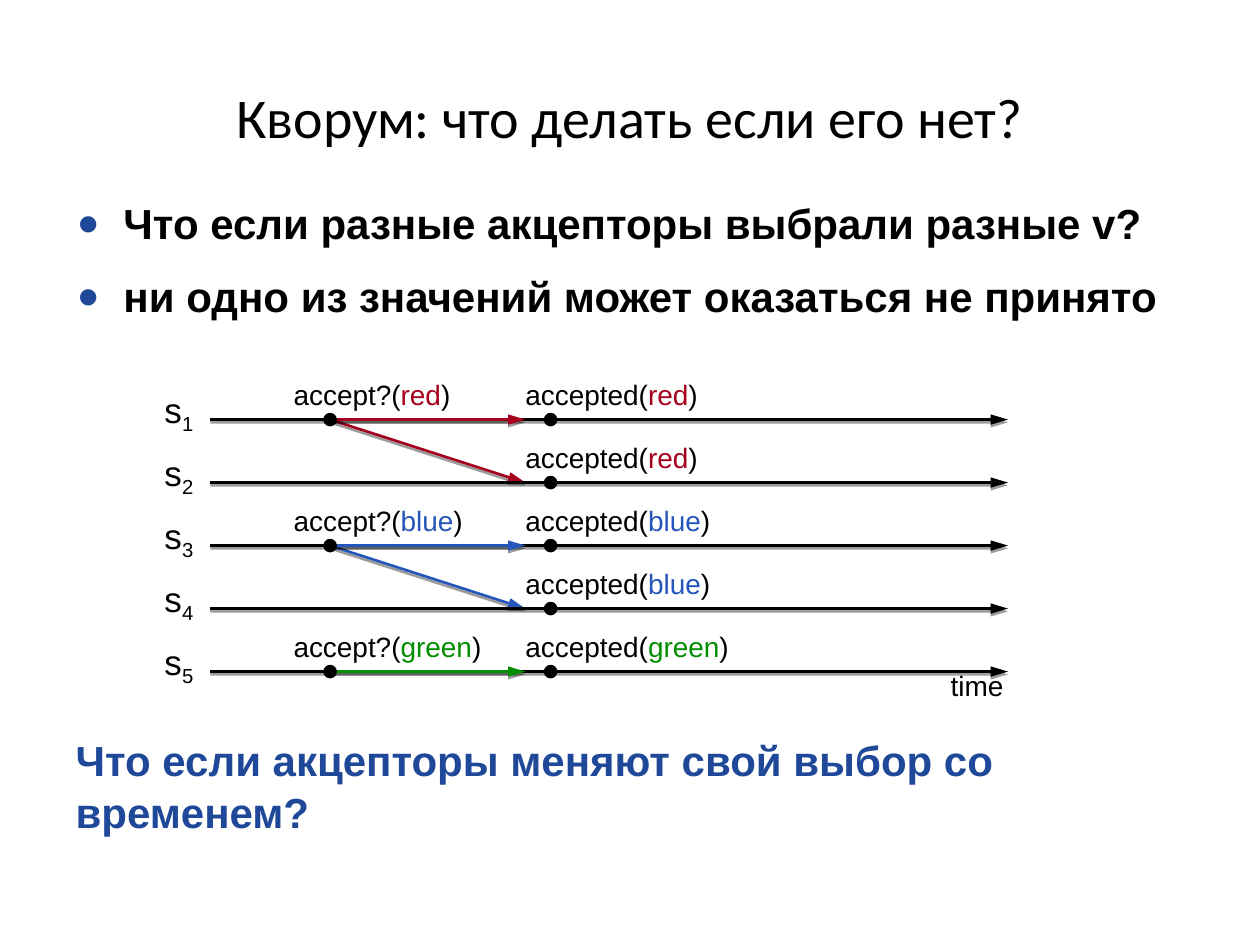
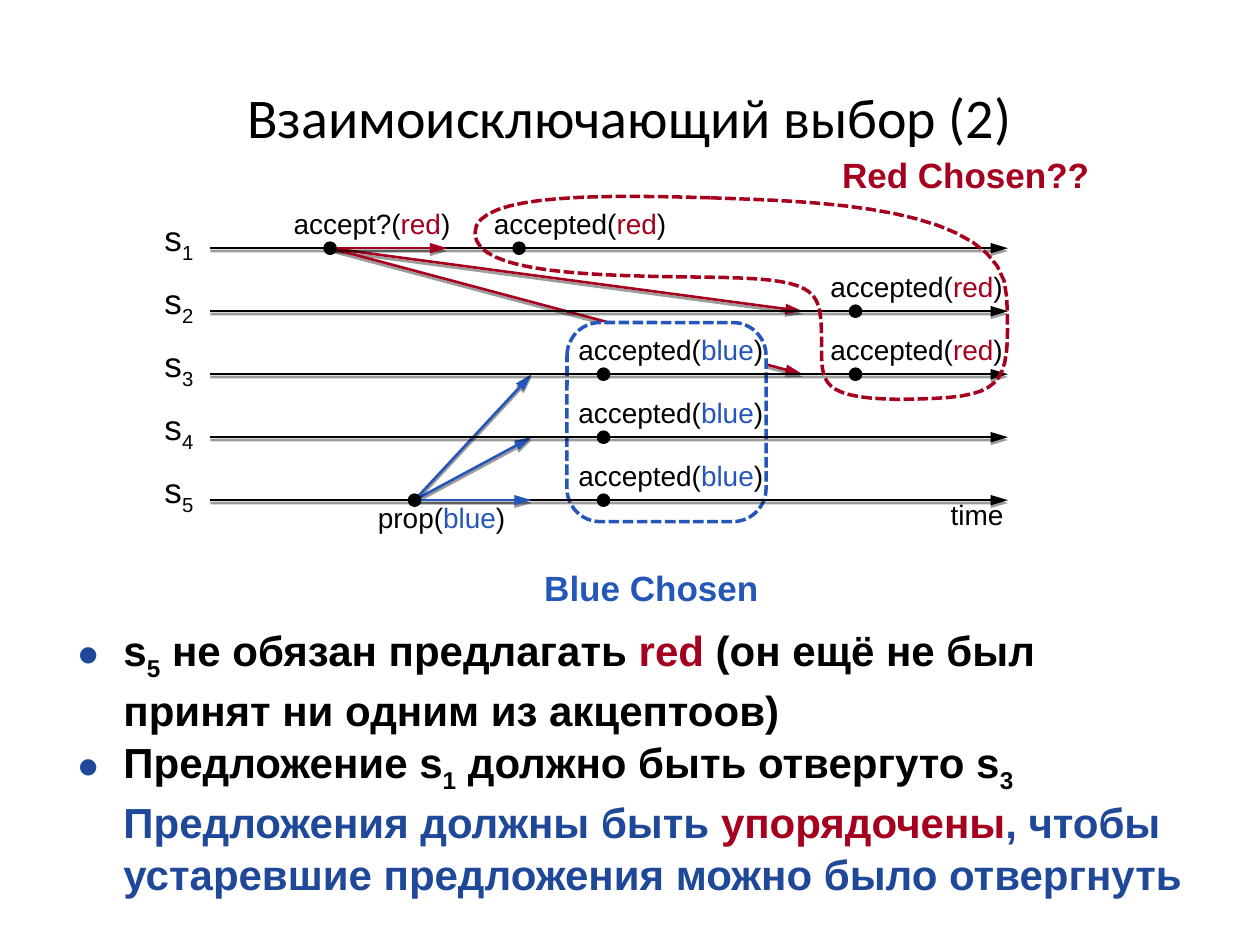
from dataclasses import dataclass

from lxml import etree
from pptx import Presentation
from pptx.dml.color import RGBColor
from pptx.enum.dml import MSO_LINE
from pptx.enum.shapes import MSO_CONNECTOR, MSO_SHAPE
from pptx.enum.text import MSO_ANCHOR, MSO_AUTO_SIZE, PP_ALIGN
from pptx.oxml.ns import qn
from pptx.util import Inches, Pt

STRAIGHT = MSO_CONNECTOR.STRAIGHT
OVAL, ROUNDED = MSO_SHAPE.OVAL, MSO_SHAPE.ROUNDED_RECTANGLE
DASHED = MSO_LINE.SQUARE_DOT
LEFT, CENTER = PP_ALIGN.LEFT, PP_ALIGN.CENTER
TOP, MIDDLE = MSO_ANCHOR.TOP, MSO_ANCHOR.MIDDLE
FIXED, GROW = MSO_AUTO_SIZE.NONE, MSO_AUTO_SIZE.SHAPE_TO_FIT_TEXT


@dataclass(frozen=True)
class Theme:
    black: str = "000000"
    white: str = "FFFFFF"
    accent: str = "1F4899"
    red: str = "A5001E"
    blue: str = "2556B9"
    green: str = "008E00"
    title_font: str = "Calibri"
    text_font: str = "Arial"
    title_size: int = 32
    body_size: int = 24
    name_size: int = 20
    label_size: int = 16
    arrow_width: float = 1.5
    outline_width: float = 2


THEME = Theme()

LINE_START, LINE_END = 1.67, 8
ROW_GAP = 0.5
DOT = 0.08
LABEL_RISE = 0.33
REQUEST_SHIFT, REPLY_SHIFT = 0.29, 0.2
TITLE_BOX = (0.5, 0.3, 9, 1.25)
SERVERS = ["1", "2", "3", "4", "5"]
LABEL_WIDTHS = {
    ("accept?", "red"): 1.25, ("accept?", "blue"): 1.58, ("accept?", "green"): 1.5,
    ("accepted", "red"): 1.75, ("accepted", "blue"): 1.92, ("accepted", "green"): 2,
    ("prop", "blue"): 1.17,
}

# Requests: verb, value, row, x, label drop, [(target row, target x)].
# Replies: value, row, x.
# Body paragraphs: runs, bulleted, left indent, space before in points.
SLIDES = [
    {
        "title": "Кворум: что делать если его нет?",
        "body_box": (0.5, 1.5, 9, 1.33),
        "body": [
            (["Что если разные акцепторы выбрали разные v?"], True, 0.38, 12),
            (["ни одно из значений может оказаться не принято"], True, 0.38, 12),
            ([("Что если акцепторы меняют свой выбор со временем?", "accent")],
             False, 0, 235),
        ],
        "first_row": 3.33,
        "requests": [
            ("accept?", "red", 0, 2.62, -LABEL_RISE, [(0, 4.17), (1, 4.17)]),
            ("accept?", "blue", 2, 2.62, -LABEL_RISE, [(2, 4.17), (3, 4.17)]),
            ("accept?", "green", 4, 2.62, -LABEL_RISE, [(4, 4.17)]),
        ],
        "replies": [("red", 0, 4.37), ("red", 1, 4.37), ("blue", 2, 4.37),
                    ("blue", 3, 4.37), ("green", 4, 4.37)],
    },
    {
        "title": "Взаимоисключающий выбор (2)",
        "body_box": (0.5, 4.89, 9, 1.83),
        "body": [
            (["s", ("5", "sub"), " не обязан предлагать ", ("red", "red"),
              " (он ещё не был принят ни одним из акцептоов)"], True, 0.38, 0),
            (["Предложение s", ("1", "sub"), " должно быть отвергуто s",
              ("3", "sub")], True, 0.38, 0),
            ([("Предложения должны быть ", "accent"), ("упорядочены", "red"),
              (", чтобы устаревшие предложения можно было отвергнуть", "accent")],
             False, 0.38, 0),
        ],
        "first_row": 1.97,
        "requests": [
            ("accept?", "red", 0, 2.62, -LABEL_RISE,
             [(0, 3.55), (1, 6.37), (2, 6.37)]),
            ("prop", "blue", 4, 3.29, 0, [(4, 4.22), (3, 4.22), (2, 4.22)]),
        ],
        "replies": [("red", 0, 4.12), ("red", 1, 6.79), ("red", 2, 6.79),
                    ("blue", 2, 4.79), ("blue", 3, 4.79), ("blue", 4, 4.79)],
        "blue_quorum": (4.5, 2.56, 1.58, 1.58),
        "red_quorum": [
            (5.64, 1.57),
            [(4.87, 1.55), (3.76, 1.52), (3.77, 1.85)],
            [(3.77, 2.18), (4.75, 2.19), (5.61, 2.2)],
            [(6.47, 2.21), (6.51, 2.29), (6.52, 2.64)],
            [(6.53, 3), (6.44, 3.16), (7.13, 3.17)],
            [(7.98, 3.16), (8.02, 3.1), (7.99, 2.36)],
            [(7.97, 1.61), (6.41, 1.6), (5.64, 1.57)],
        ],
        "verdicts": [("Red Chosen??", "red", (6.58, 1.22, 2.17, 0.33)),
                     ("Blue Chosen", "blue", (4.17, 4.5, 2, 0.33))],
    },
]


def rgb(name):
    return RGBColor.from_string(getattr(THEME, name))


def add_element(parent, tag, **attributes):
    return etree.SubElement(parent, qn(tag), attributes)


def write(paragraph, runs, *, size, color="black", font=THEME.text_font,
          bold=False, align=LEFT):
    paragraph.alignment = align
    for item in runs:
        text, style = item if isinstance(item, tuple) else (item, color)
        run = paragraph.add_run()
        run.text = text
        run.font.name, run.font.size, run.font.bold = font, Pt(size), bold
        run.font.color.rgb = rgb(color if style == "sub" else style)
        if style == "sub":
            run.font._element.set("baseline", "-25000")


def place(shape, box):
    shape.left, shape.top, shape.width, shape.height = map(Inches, box)


def set_frame(frame, inset, anchor, auto_size):
    frame.word_wrap = True
    frame.auto_size = auto_size
    frame.vertical_anchor = anchor
    if inset is not None:
        frame.margin_left = frame.margin_right = Inches(inset)
        frame.margin_top = frame.margin_bottom = Inches(inset)


def add_label(slide, runs, box, **text_format):
    frame = slide.shapes.add_textbox(*map(Inches, box)).text_frame
    set_frame(frame, 0, TOP, GROW)
    write(frame.paragraphs[0], runs, **text_format)


def style_shape(shape, line, fill=None, dash=None):
    shape.shadow.inherit = False
    if fill:
        shape.fill.solid()
        shape.fill.fore_color.rgb = rgb(fill)
    else:
        shape.fill.background()
    shape.line.color.rgb = rgb(line)
    shape.line.width = Pt(THEME.outline_width)
    if dash:
        shape.line.dash_style = dash


def add_arrow(slide, start, end, color):
    arrow = slide.shapes.add_connector(STRAIGHT, *map(Inches, start + end))
    arrow.line.color.rgb = rgb(color)
    arrow.line.width = Pt(THEME.arrow_width)
    properties = arrow.element.spPr
    add_element(properties.find(qn("a:ln")), "a:tailEnd",
                type="triangle", w="med", len="lg")
    effects = add_element(properties, "a:effectLst")
    shadow = add_element(effects, "a:outerShdw", blurRad="0", dist=str(Pt(1.6)),
                         dir="5400000", rotWithShape="0")
    shadow_color = add_element(shadow, "a:srgbClr", val=THEME.black)
    add_element(shadow_color, "a:alpha", val="38000")


def add_dot(slide, x, y):
    box = (x - DOT / 2, y - DOT / 2, DOT, DOT)
    style_shape(slide.shapes.add_shape(OVAL, *map(Inches, box)), "black", "black")


def add_event(slide, verb, value, x, y, shift, drop):
    add_dot(slide, x, y)
    add_label(slide, [verb + "(", (value, value), ")"],
              (x - shift, y + drop, LABEL_WIDTHS[verb, value], 0.27),
              size=THEME.label_size)


def add_title(slide, text):
    title = slide.shapes.title
    place(title, TITLE_BOX)
    set_frame(title.text_frame, 0, MIDDLE, FIXED)
    write(title.text_frame.paragraphs[0], [text], size=THEME.title_size,
          font=THEME.title_font, align=CENTER)


def add_body(slide, box, paragraphs):
    body = slide.placeholders[1]
    place(body, box)
    frame = body.text_frame
    set_frame(frame, None, TOP, FIXED)
    for index, (runs, bulleted, indent, space) in enumerate(paragraphs):
        paragraph = frame.add_paragraph() if index else frame.paragraphs[0]
        write(paragraph, runs, size=THEME.body_size, bold=True)
        paragraph.space_before = Pt(space)
        paragraph.line_spacing = 1.04
        properties = paragraph._p.get_or_add_pPr()
        properties.set("marL", str(Inches(indent)))
        properties.set("indent", str(Inches(-0.37 if bulleted else 0)))
        if bulleted:
            bullet_color = add_element(properties, "a:buClr")
            add_element(bullet_color, "a:srgbClr", val=THEME.accent)
            add_element(properties, "a:buSzPct", val="90000")
            add_element(properties, "a:buChar", char="●")
        else:
            add_element(properties, "a:buNone")


def curve_points(start, curves, steps=16):
    points = []
    for first, second, end in curves:
        for step in range(1, steps + 1):
            t = step / steps
            weights = ((1 - t) ** 3, 3 * t * (1 - t) ** 2, 3 * t * t * (1 - t), t ** 3)
            corners = (start, first, second, end)
            points.append(tuple(
                Inches(sum(w * corner[axis] for w, corner in zip(weights, corners)))
                for axis in (0, 1)))
        start = end
    return points


def add_timeline(slide, content):
    rows = [content["first_row"] + ROW_GAP * i for i in range(len(SERVERS))]

    def send(level):
        for _, value, row, x, _, targets in content["requests"]:
            for target, end in targets:
                if (target == row) == level:
                    add_arrow(slide, (x, rows[row]), (end, rows[target]), value)

    send(level=False)
    if "blue_quorum" in content:
        box = slide.shapes.add_shape(ROUNDED, *map(Inches, content["blue_quorum"]))
        style_shape(box, "blue", "white", DASHED)
    for server, y in zip(SERVERS, rows):
        add_arrow(slide, (LINE_START, y), (LINE_END, y), "black")
        add_label(slide, ["s", (server, "sub")], (1.17, y - 0.25, 0.5, 0.38),
                  size=THEME.name_size, align=CENTER)
    add_label(slide, ["time"], (7.42, rows[-1] - 0.02, 0.67, 0.27),
              size=THEME.label_size, align=CENTER)
    send(level=True)
    for verb, value, row, x, drop, _ in content["requests"]:
        add_event(slide, verb, value, x, rows[row], REQUEST_SHIFT, drop)
    for value, row, x in content["replies"]:
        add_event(slide, "accepted", value, x, rows[row], REPLY_SHIFT, -LABEL_RISE)
    if "red_quorum" in content:
        start, *curves = content["red_quorum"]
        builder = slide.shapes.build_freeform(*map(Inches, start))
        builder.add_line_segments(curve_points(start, curves), close=True)
        style_shape(builder.convert_to_shape(), "red", dash=DASHED)
    for text, color, box in content.get("verdicts", []):
        add_label(slide, [text], box, size=THEME.name_size, color=color,
                  bold=True, align=CENTER)


presentation = Presentation()
presentation.slide_width, presentation.slide_height = Inches(10), Inches(7.5)
for content in SLIDES:
    slide = presentation.slides.add_slide(presentation.slide_layouts[1])
    add_title(slide, content["title"])
    add_body(slide, content["body_box"], content["body"])
    add_timeline(slide, content)
presentation.save("out.pptx")
